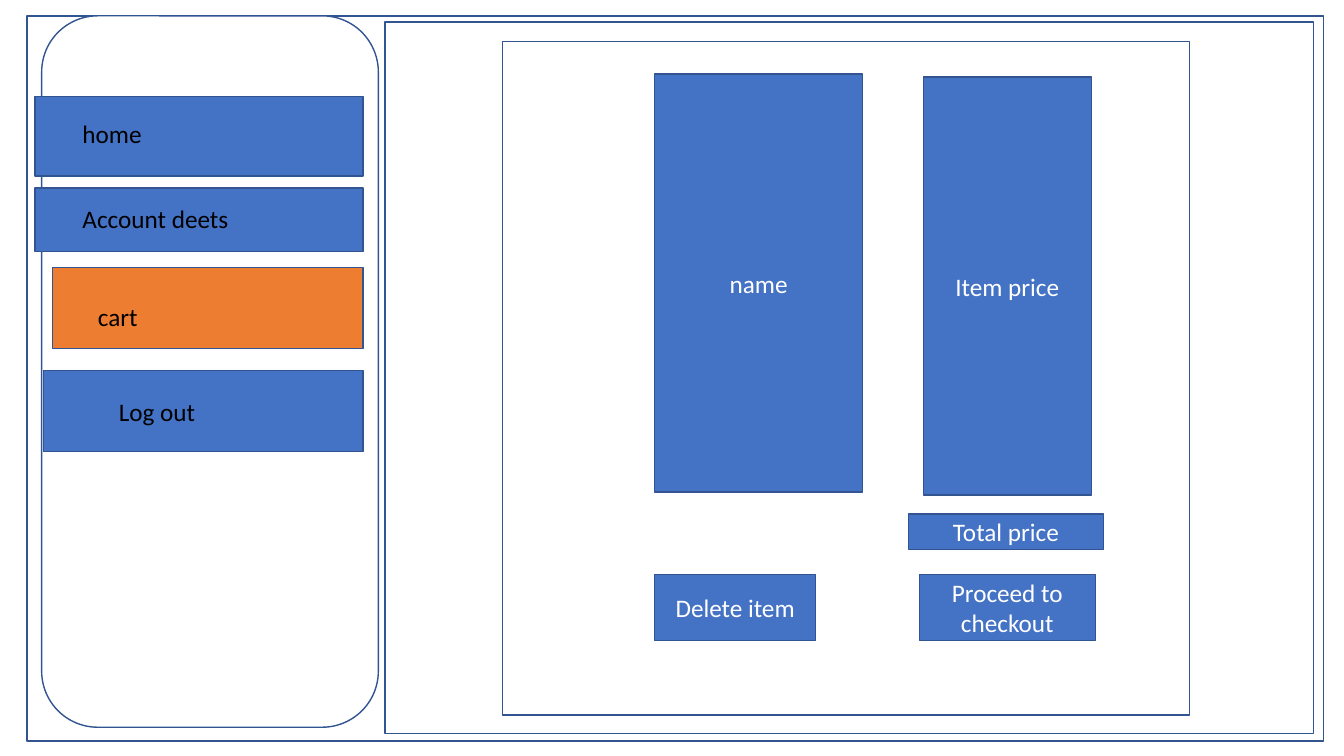
from collections import namedtuple

from pptx import Presentation
from pptx.dml.color import RGBColor
from pptx.enum.shapes import MSO_SHAPE
from pptx.enum.text import MSO_ANCHOR, MSO_AUTO_SIZE, PP_ALIGN
from pptx.util import Inches, Pt

COLORS = {"white": "FFFFFF", "black": "000000", "blue": "4472C4",
          "orange": "ED7D31", "outline": "325491"}
FONT = "Calibri"
SLIDE_WIDTH, SLIDE_HEIGHT = Inches(13.33), Inches(7.5)
COLUMN, ROW = SLIDE_WIDTH / 100, SLIDE_HEIGHT / 100
LABEL_ROWS = 5.3
MENU_RIGHT = 23.9

Box = namedtuple("Box", "left top width height")

FRAME = Box(2, 2.1, 96.5, 95.9)
SIDEBAR = Box(3.1, 2.1, 25.05, 94.1)
CONTENT = Box(28.65, 2.9, 69.1, 94.1)
CART_PANEL = Box(37.4, 5.5, 51.1, 89.1)

MENU_BUTTONS = [
    (-0.5, 10.7, 10.5, "blue"),
    (-0.5, 22.8, 8.4, "blue"),
    (0.8, 33.3, 10.7, "orange"),
    (0.15, 46.9, 10.7, "blue"),
]
MENU_LABELS = [
    ("home", 2.3, 12.9, 19.5),
    ("Account deets", 2.3, 24.1, 17.6),
    ("cart", 3.45, 37.1, 16),
    ("Log out", 5, 49.7, 14.9),
]
CART_PARTS = [
    ("name", Box(11.3, 4.3, 15.5, 55.3)),
    ("Item price", Box(31.3, 4.7, 12.5, 55.3)),
    ("Delete item", Box(11.3, 70.5, 12, 8.7)),
    ("Proceed to checkout", Box(31, 70.5, 13.1, 8.7)),
    ("Total price", Box(30.2, 62.5, 14.5, 4.7)),
]


def color(name):
    """Return the named colour."""
    return RGBColor.from_string(COLORS[name])


def within(parent, box):
    """Shift a box by the corner of its parent."""
    return box._replace(left=parent.left + box.left, top=parent.top + box.top)


def lengths(box):
    """Turn grid columns and rows into slide lengths."""
    return (round(box.left * COLUMN), round(box.top * ROW),
            round(box.width * COLUMN), round(box.height * ROW))


def write(shape, text, color_name):
    """Set the text of a shape and format its run."""
    shape.text_frame.text = text
    font = shape.text_frame.paragraphs[0].runs[0].font
    font.name, font.size = FONT, Pt(18)
    font.color.rgb = color(color_name)


def add_block(slide, box, fill="white", text="", preset=MSO_SHAPE.RECTANGLE):
    """Add an outlined shape with optional centred text."""
    shape = slide.shapes.add_shape(preset, *lengths(box))
    shape.shadow.inherit = False
    shape.fill.solid()
    shape.fill.fore_color.rgb = color(fill)
    shape.line.color.rgb = color("outline")
    shape.line.width = Pt(1)
    if text:
        write(shape, text, "white")
        shape.text_frame.word_wrap = True
        shape.text_frame.vertical_anchor = MSO_ANCHOR.MIDDLE
        shape.text_frame.paragraphs[0].alignment = PP_ALIGN.CENTER


def add_label(slide, box, text):
    """Add a black text label."""
    label = slide.shapes.add_textbox(*lengths(box))
    write(label, text, "black")
    label.text_frame.word_wrap = True
    label.text_frame.auto_size = MSO_AUTO_SIZE.SHAPE_TO_FIT_TEXT


def add_menu(slide, box):
    """Place the menu buttons and their labels in the sidebar."""
    for left, top, height, fill in MENU_BUTTONS:
        button = Box(left, top, MENU_RIGHT - left, height)
        add_block(slide, within(box, button), fill)
    for text, left, top, width in MENU_LABELS:
        add_label(slide, within(box, Box(left, top, width, LABEL_ROWS)), text)


def add_cart(slide, box):
    """Draw the cart panel with its columns and buttons."""
    add_block(slide, box)
    for text, part in CART_PARTS:
        add_block(slide, within(box, part), "blue", text)


def build_cart_page(presentation):
    """Add the slide with the cart page wireframe."""
    slide = presentation.slides.add_slide(presentation.slide_layouts[6])
    add_block(slide, FRAME)
    add_block(slide, SIDEBAR, preset=MSO_SHAPE.ROUNDED_RECTANGLE)
    add_block(slide, CONTENT)
    add_menu(slide, SIDEBAR)
    add_cart(slide, CART_PANEL)


presentation = Presentation()
presentation.slide_width, presentation.slide_height = SLIDE_WIDTH, SLIDE_HEIGHT
build_cart_page(presentation)
presentation.save("out.pptx")
